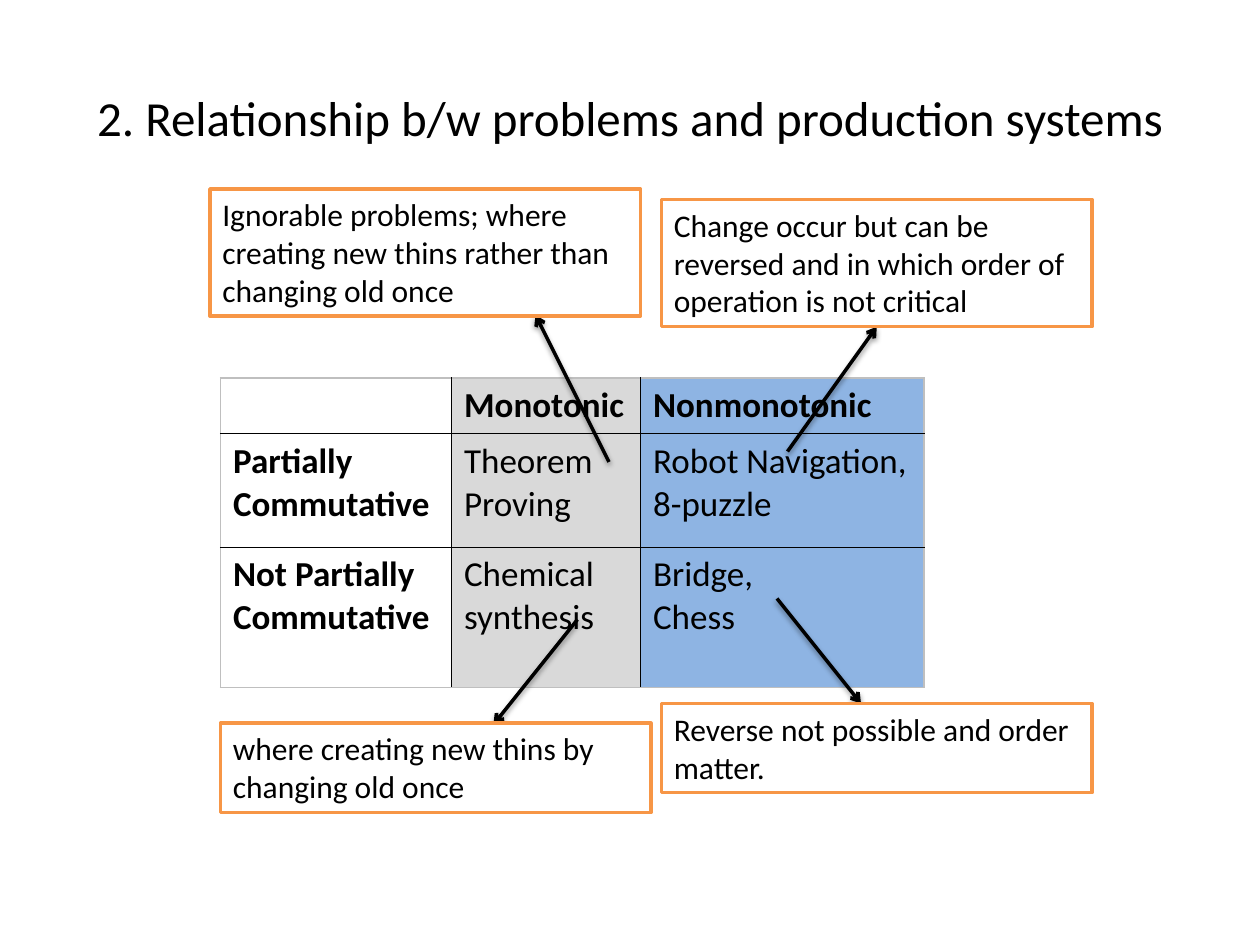
from typing import NamedTuple

import pptx
import pptx.dml.color
import pptx.enum.shapes
import pptx.enum.text
import pptx.oxml
import pptx.oxml.ns
import pptx.util

Pt = pptx.util.Pt
FONT = "Calibri"
BLACK, WHITE, ORANGE = "000000", "FFFFFF", "F79646"
EDGE_GREY = "BFBFBF"
COLUMN_FILLS = (None, "D9D9D9", "8EB4E3")
COLUMN_WIDTHS = (132, 108, 162)
ROW_HEIGHTS = (31, 65, 80)
TABLE_LEFT, TABLE_TOP = 126, 216
NOTE_WIDTH = 246
CELLS = (
    ("", "Monotonic", "Nonmonotonic"),
    ("Partially Commutative", "Theorem Proving", "Robot Navigation,\n8-puzzle"),
    ("Not Partially Commutative", "Chemical synthesis", "Bridge,\nChess"),
)


class Note(NamedTuple):
    text: str
    left: float
    top: float
    height: float
    arrow_start: tuple[float, float]
    arrow_end: tuple[float, float]
    joined_side: int | None = None


UPPER_NOTES = (
    Note("Ignorable problems; where creating new thins rather than changing old once",
         120, 108, 72.7, (348, 264), (306, 180)),
    Note("Change occur but can be reversed and in which order of operation is not critical",
         378, 114, 72.7, (450, 258), (501, 186.7), joined_side=2),
)
LOWER_NOTES = (
    Note("where creating new thins by changing old once",
         126, 413.3, 51, (330, 354), (282, 414)),
    Note("Reverse not possible and order matter.",
         378, 402, 51, (444, 342), (492, 402)),
)


def rgb(color: str) -> pptx.dml.color.RGBColor:
    return pptx.dml.color.RGBColor.from_string(color)


def xml(body: str):
    """Parse one element, declaring the drawing namespace on its tag."""
    tag, rest = body.split(" ", 1)
    return pptx.oxml.parse_xml(f"{tag} {pptx.oxml.ns.nsdecls('a')} {rest}")


def format_text(text_frame, size: float, bold: bool = False) -> None:
    for paragraph in text_frame.paragraphs:
        for run in paragraph.runs:
            run.font.name = FONT
            run.font.size = Pt(size)
            run.font.bold = bold
            run.font.color.rgb = rgb(BLACK)


def set_borders(cell, colors: dict[str, str]) -> None:
    """Draw 1 pt borders; they must come before the fill in the cell properties."""
    properties = cell._tc.get_or_add_tcPr()
    for index, (side, color) in enumerate(colors.items()):
        properties.insert(index, xml(
            f'<a:ln{side} w="{Pt(1)}"><a:solidFill><a:srgbClr val="{color}"/>'
            f'</a:solidFill></a:ln{side}>'))


def add_table(slide) -> None:
    table = slide.shapes.add_table(
        len(ROW_HEIGHTS), len(COLUMN_WIDTHS), Pt(TABLE_LEFT), Pt(TABLE_TOP),
        Pt(sum(COLUMN_WIDTHS)), Pt(sum(ROW_HEIGHTS))).table
    table.first_row = table.horz_banding = False
    for column, width in zip(table.columns, COLUMN_WIDTHS):
        column.width = Pt(width)
    last_row, last_column = len(ROW_HEIGHTS) - 1, len(COLUMN_WIDTHS) - 1
    for r, (texts, height) in enumerate(zip(CELLS, ROW_HEIGHTS)):
        table.rows[r].height = Pt(height)
        for c, (text, fill) in enumerate(zip(texts, COLUMN_FILLS)):
            cell = table.cell(r, c)
            cell.text_frame.text = text
            format_text(cell.text_frame, 20, bold=r == 0 or c == 0)
            if fill:
                cell.fill.solid()
                cell.fill.fore_color.rgb = rgb(fill)
            else:
                cell.fill.background()
            set_borders(cell, {
                "L": EDGE_GREY if c == 0 else BLACK,
                "R": EDGE_GREY if c == last_column else BLACK,
                "T": EDGE_GREY if r == 0 else BLACK,
                "B": EDGE_GREY if r == last_row else BLACK,
            })


def add_arrow(slide, note: Note):
    connector = slide.shapes.add_connector(
        pptx.enum.shapes.MSO_CONNECTOR.STRAIGHT,
        *(Pt(value) for value in note.arrow_start + note.arrow_end))
    connector.line.color.rgb = rgb(BLACK)
    connector.line.width = Pt(2)
    connector.line._get_or_add_ln().append(xml('<a:tailEnd type="arrow"/>'))
    connector._element.spPr.append(xml(
        f'<a:effectLst ><a:outerShdw blurRad="{Pt(3.1)}" dist="{Pt(1.6)}" dir="5400000" '
        f'rotWithShape="0"><a:srgbClr val="{BLACK}"><a:alpha val="38000"/></a:srgbClr>'
        '</a:outerShdw></a:effectLst>'))
    return connector


def add_note_box(slide, note: Note):
    box = slide.shapes.add_textbox(
        Pt(note.left), Pt(note.top), Pt(NOTE_WIDTH), Pt(note.height))
    box.fill.solid()
    box.fill.fore_color.rgb = rgb(WHITE)
    box.line.color.rgb = rgb(ORANGE)
    box.line.width = Pt(2)
    box.text_frame.word_wrap = True
    box.text_frame.auto_size = pptx.enum.text.MSO_AUTO_SIZE.SHAPE_TO_FIT_TEXT
    box.text_frame.text = note.text
    format_text(box.text_frame, 18)
    return box


def add_notes(slide, notes: tuple[Note, ...]) -> None:
    """Draw the arrows first, so that the boxes cover their tips."""
    arrows = [add_arrow(slide, note) for note in notes]
    for note, arrow in zip(notes, arrows):
        box = add_note_box(slide, note)
        if note.joined_side is not None:
            arrow.end_connect(box, note.joined_side)


def add_title(slide) -> None:
    title = slide.shapes.title
    title.left, title.top, title.width, title.height = Pt(36), Pt(21.6), Pt(648), Pt(90)
    title.text_frame.text = "2. Relationship b/w problems and production systems"
    title.text_frame.vertical_anchor = pptx.enum.text.MSO_ANCHOR.MIDDLE
    title.text_frame.paragraphs[0].alignment = pptx.enum.text.PP_ALIGN.CENTER
    format_text(title.text_frame, 28)


def main() -> None:
    presentation = pptx.Presentation()
    presentation.slide_width, presentation.slide_height = Pt(720), Pt(540)
    slide = presentation.slides.add_slide(presentation.slide_layouts[5])
    add_title(slide)
    add_table(slide)
    add_notes(slide, UPPER_NOTES)
    add_notes(slide, LOWER_NOTES)
    presentation.save("out.pptx")


if __name__ == "__main__":
    main()
